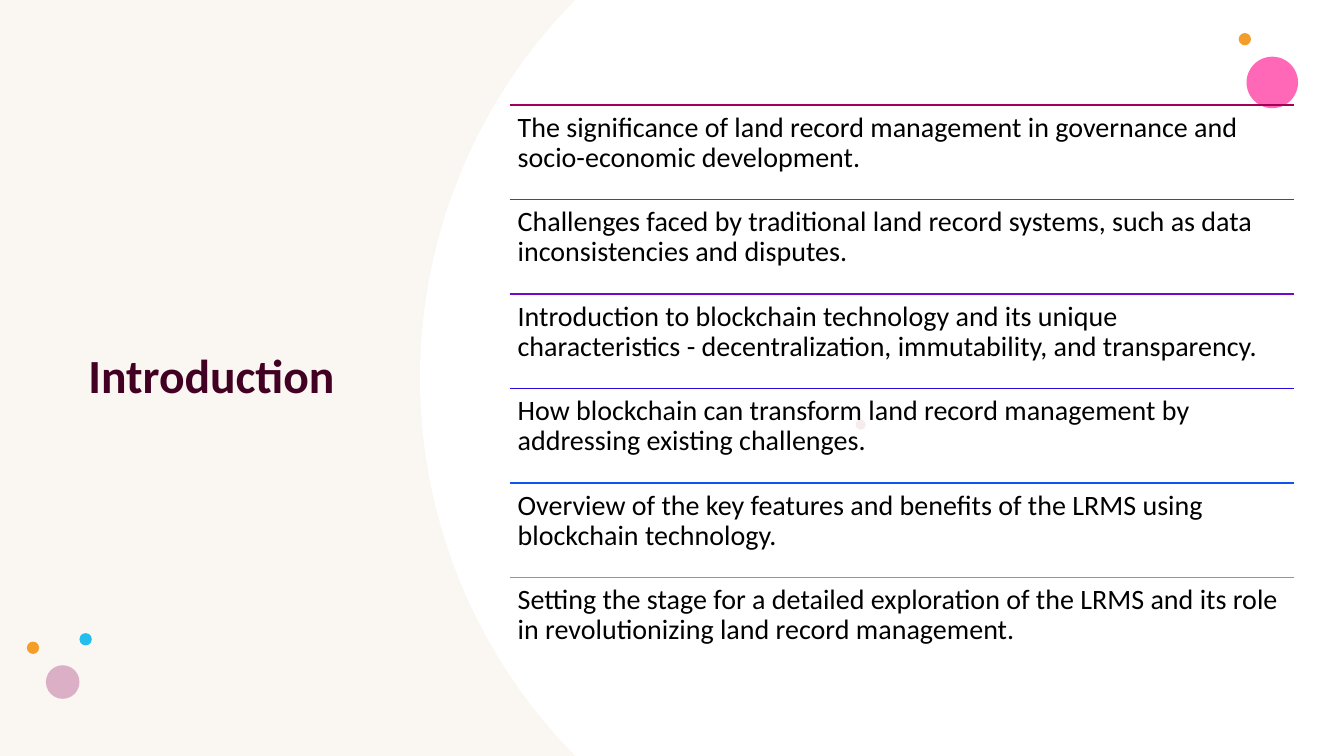
from math import asin, cos, sin

from lxml.etree import SubElement
from pptx import Presentation
from pptx.dml.color import RGBColor
from pptx.enum.shapes import MSO_CONNECTOR, MSO_SHAPE
from pptx.enum.text import MSO_ANCHOR, MSO_AUTO_SIZE, PP_ALIGN
from pptx.oxml.ns import qn
from pptx.util import Inches, Pt

COLORS = {
    "white": "FFFFFF", "sand": "F0E2D3", "title": "420023", "text": "000000",
    "pink": "FF2F9C", "orange": "F39E29", "blush": "E3BEBE",
    "sky": "24BEEE", "mauve": "DBAFC5", "berry": "A40056",
    "magenta": "B703B2", "violet": "7806CA", "indigo": "260ADC", "blue": "0F55ED",
}
COLUMNS, ROWS = 12, 8

DOTS = [
    (11.13, 0.6, 0.46, "pink", 72),
    (11.06, 0.35, 0.11, "orange", 100),
    (7.64, 4.44, 0.09, "blush", 28),
    (0.71, 6.7, 0.11, "sky", 100),
    (0.41, 7.04, 0.3, "mauve", 100),
    (0.24, 6.79, 0.11, "orange", 100),
]

POINTS = [
    ("berry", "The significance of land record management in governance and socio-economic development."),
    ("magenta", "Challenges faced by traditional land record systems, such as data inconsistencies and disputes."),
    ("violet", "Introduction to blockchain technology and its unique characteristics - decentralization, immutability, and transparency."),
    ("indigo", "How blockchain can transform land record management by addressing existing challenges."),
    ("blue", "Overview of the key features and benefits of the LRMS using blockchain technology."),
    ("sky", "Setting the stage for a detailed exploration of the LRMS and its role in revolutionizing land record management."),
]


class Deck:
    font = "Calibri"

    def __init__(self):
        self.prs = Presentation()
        self.prs.slide_width, self.prs.slide_height = Inches(13.33), Inches(7.5)
        self.col = self.prs.slide_width / COLUMNS
        self.row = self.prs.slide_height / ROWS
        self.s = self.prs.slides.add_slide(self.prs.slide_layouts[5])

    def x(self, columns):
        return round(columns * self.col)

    def y(self, rows):
        return round(rows * self.row)

    def color(self, name):
        return RGBColor.from_string(COLORS[name])

    def paint(self, sp, color, opacity=100):
        sp.shadow.inherit = False
        sp.line.fill.background()
        sp.fill.solid()
        sp.fill.fore_color.rgb = self.color(color)
        if opacity < 100:
            clr = sp.element.spPr.find(qn("a:solidFill"))[0]
            SubElement(clr, qn("a:alpha")).set("val", str(opacity * 1000))

    def backdrop(self, color, opacity):
        sp = self.s.shapes.add_shape(MSO_SHAPE.RECTANGLE, 0, 0, self.x(COLUMNS), self.y(ROWS))
        self.paint(sp, color, opacity)

    def curved_panel(self, center, radius, color, steps=60):
        half = asin(self.y(ROWS / 2) / self.x(radius))
        angles = [half - 2 * half * i / steps for i in range(steps + 1)]
        arc = [
            (self.x(center - radius * cos(a)), round(self.y(ROWS / 2) + self.x(radius) * sin(a)))
            for a in angles
        ]
        builder = self.s.shapes.build_freeform(self.x(COLUMNS), 0)
        builder.add_line_segments([(self.x(COLUMNS), self.y(ROWS))] + arc, close=True)
        self.paint(builder.convert_to_shape(), color)

    def dot(self, left, top, size, color, opacity):
        d = self.x(size)
        sp = self.s.shapes.add_shape(MSO_SHAPE.OVAL, self.x(left), self.y(top), d, d)
        self.paint(sp, color, opacity)

    def set_text(self, tf, text, size, color, bold=False):
        tf.word_wrap = True
        tf.auto_size = MSO_AUTO_SIZE.NONE
        tf.text = text
        p = tf.paragraphs[0]
        p.alignment = PP_ALIGN.LEFT
        p.line_spacing = 0.9
        p.font.name, p.font.size, p.font.bold = self.font, Pt(size), bold
        p.font.color.rgb = self.color(color)

    def title(self, text, left, top, width, height):
        sp = self.s.shapes.title
        self.s.shapes.element.append(sp.element)
        sp.left, sp.top = self.x(left), self.y(top)
        sp.width, sp.height = self.x(width), self.y(height)
        sp.text_frame.vertical_anchor = MSO_ANCHOR.MIDDLE
        self.set_text(sp.text_frame, text, 34, "title", bold=True)

    def rule(self, left, top, width, color):
        y = self.y(top)
        line = self.s.shapes.add_connector(
            MSO_CONNECTOR.STRAIGHT, self.x(left), y, self.x(left + width), y)
        line.line.color.rgb = self.color(color)
        line.line.width = Pt(1)
        SubElement(line.element.spPr, qn("a:effectLst"))

    def text(self, text, left, top, width, height):
        sp = self.s.shapes.add_textbox(self.x(left), self.y(top), self.x(width), self.y(height))
        tf = sp.text_frame
        tf.margin_left = tf.margin_right = tf.margin_top = tf.margin_bottom = Inches(0.08)
        self.set_text(tf, text, 20, "text")


def main():
    deck = Deck()
    deck.backdrop("sand", 30)
    deck.curved_panel(8.55, 4.8, "white")
    for dot in DOTS:
        deck.dot(*dot)
    deck.title("Introduction", 0.7, 3.67, 2.82, 0.67)
    left, first, width = 4.55, 1.11, 7
    for i, (color, point) in enumerate(POINTS):
        deck.rule(left, first + i, width, color)
        deck.text(point, left, first + i, width, 1)
    deck.prs.save("out.pptx")


if __name__ == "__main__":
    main()
